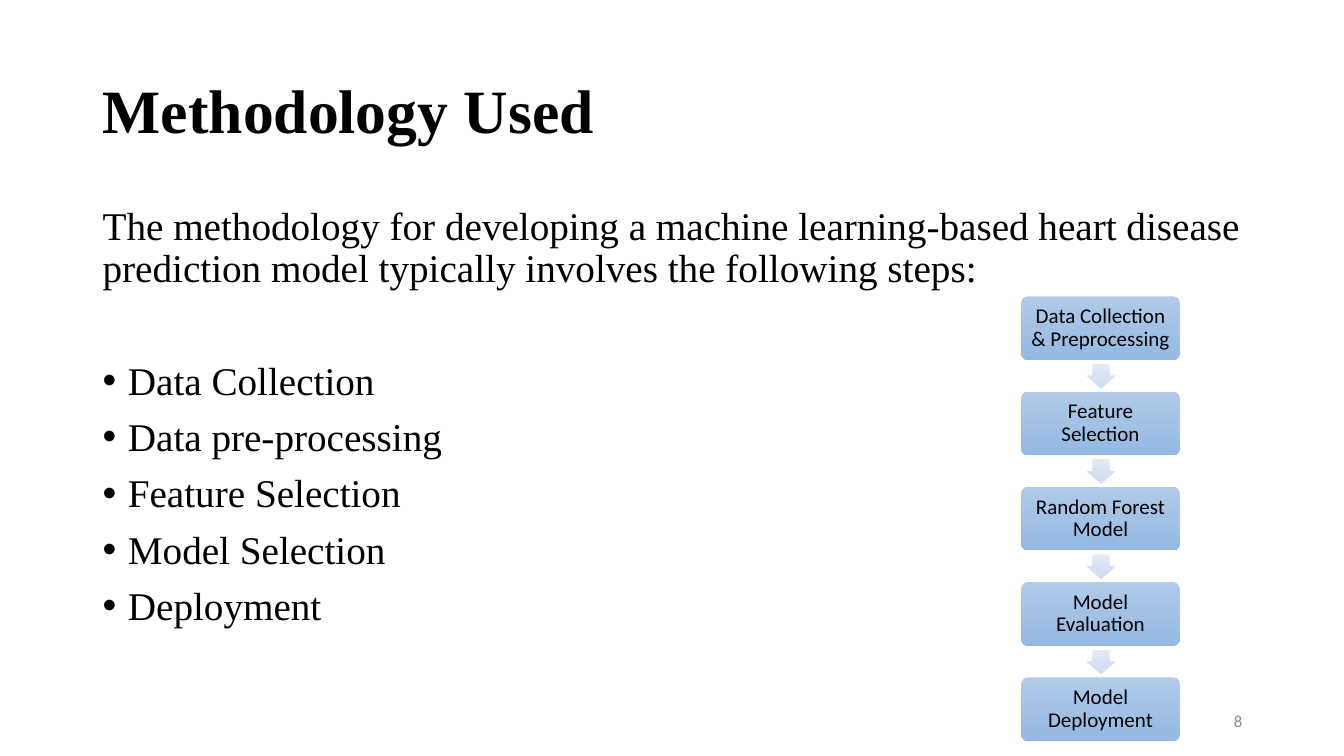
"""Build the "Methodology Used" slide with its steps and flow diagram."""
import copy

import pptx
import pptx.dml.color
import pptx.enum.shapes
import pptx.enum.text
import pptx.util
from lxml import etree

Inches, Pt = pptx.util.Inches, pptx.util.Pt
RGB = pptx.dml.color.RGBColor.from_string
SHAPE = pptx.enum.shapes.MSO_SHAPE
ALIGN = pptx.enum.text.PP_ALIGN
MIDDLE = pptx.enum.text.MSO_ANCHOR.MIDDLE

THEME = {
    "title": {"name": "Times New Roman", "size": Pt(44), "bold": True, "color": "000000"},
    "body": {"name": "Times New Roman", "size": Pt(28), "color": "000000"},
    "step": {"name": "Calibri", "size": Pt(15), "color": "000000"},
    "number": {"name": "Calibri", "size": Pt(12), "color": "8C8C8C"},
    "box": ("B1CBE9", "A3C1E5", "93B9E4"),
    "arrow": ("E3EBF6", "D6E2F2", "D0DEF1"),
}
INTRO = ("The methodology for developing a machine learning-based heart disease "
         "prediction model typically involves the following steps:")
BULLETS = ["Data Collection", "Data pre-processing", "Feature Selection",
           "Model Selection", "Deployment"]
STEPS = ["Data Collection & Preprocessing", "Feature Selection", "Random Forest Model",
         "Model Evaluation", "Model Deployment"]


def write(p, text, style, **layout):
    """Add a styled run to a paragraph and set the paragraph's layout."""
    r = p.add_run()
    r.text = text
    for key, value in THEME[style].items():
        if key == "color":
            r.font.color.rgb = RGB(value)
        else:
            setattr(r.font, key, value)
    for key, value in layout.items():
        setattr(p, key, value)


def add_block(kind, left, top, width, height, style):
    """Add a borderless preset shape with a three-stop vertical gradient."""
    sp = s.shapes.add_shape(kind, Inches(left), Inches(top), Inches(width), Inches(height))
    sp.shadow.inherit = False
    sp.line.fill.background()
    sp.fill.gradient()
    sp.fill.gradient_angle = 270
    gs_list = sp.fill._fill._gradFill.gsLst
    gs_list.insert(1, copy.deepcopy(gs_list[0]))
    for stop, position, color in zip(sp.fill.gradient_stops, (0, 0.5, 1), THEME[style]):
        stop.position = position
        stop.color.rgb = RGB(color)
    return sp


prs = pptx.Presentation()
prs.slide_width, prs.slide_height = Inches(13.33), Inches(7.5)
s = prs.slides.add_slide(prs.slide_layouts[5])

title = s.shapes.title
title.left, title.top, title.width, title.height = map(Inches, (0.92, 0.4, 11.5, 1.45))
title.text_frame.vertical_anchor = MIDDLE
write(title.text_frame.paragraphs[0], "Methodology Used", "title",
      alignment=ALIGN.LEFT, line_spacing=0.9)

body = s.shapes.add_textbox(Inches(0.92), Inches(2), Inches(11.5), Inches(4.76))
tf = body.text_frame
tf.word_wrap = True
write(tf.paragraphs[0], INTRO, "body", line_spacing=0.9, space_before=Pt(10))
for i, bullet in enumerate(BULLETS):
    p = tf.add_paragraph()
    write(p, bullet, "body", line_spacing=0.9, space_before=Pt(10 if i else 50))
    pPr = p._p.get_or_add_pPr()
    pPr.set("marL", str(Inches(0.25)))
    pPr.set("indent", str(-Inches(0.25)))
    for tag, key, value in (("buFont", "typeface", "Arial"), ("buChar", "char", "•")):
        etree.SubElement(pPr, pptx.oxml.ns.qn("a:" + tag)).set(key, value)

number = s.shapes.add_textbox(Inches(9.42), Inches(6.95), Inches(3), Inches(0.4))
tf = number.text_frame
tf.word_wrap = True
tf.vertical_anchor = MIDDLE
write(tf.paragraphs[0], "8", "number", alignment=ALIGN.RIGHT)

for i, step in enumerate(STEPS):
    top = 2.94 + 0.945 * i
    box = add_block(SHAPE.ROUNDED_RECTANGLE, 10.13, top, 1.57, 0.63, "box")
    box.adjustments[0] = 0.1
    tf = box.text_frame
    tf.word_wrap = True
    tf.vertical_anchor = MIDDLE
    for side in ("left", "top", "right", "bottom"):
        setattr(tf, "margin_" + side, Inches(0.06))
    write(tf.paragraphs[0], step, "step", alignment=ALIGN.CENTER, line_spacing=0.9)
    if i < len(STEPS) - 1:
        arrow = add_block(SHAPE.DOWN_ARROW, 10.78, top + 0.67, 0.28, 0.24, "arrow")
        arrow.adjustments[0], arrow.adjustments[1] = 0.6, 0.5

prs.save("out.pptx")
